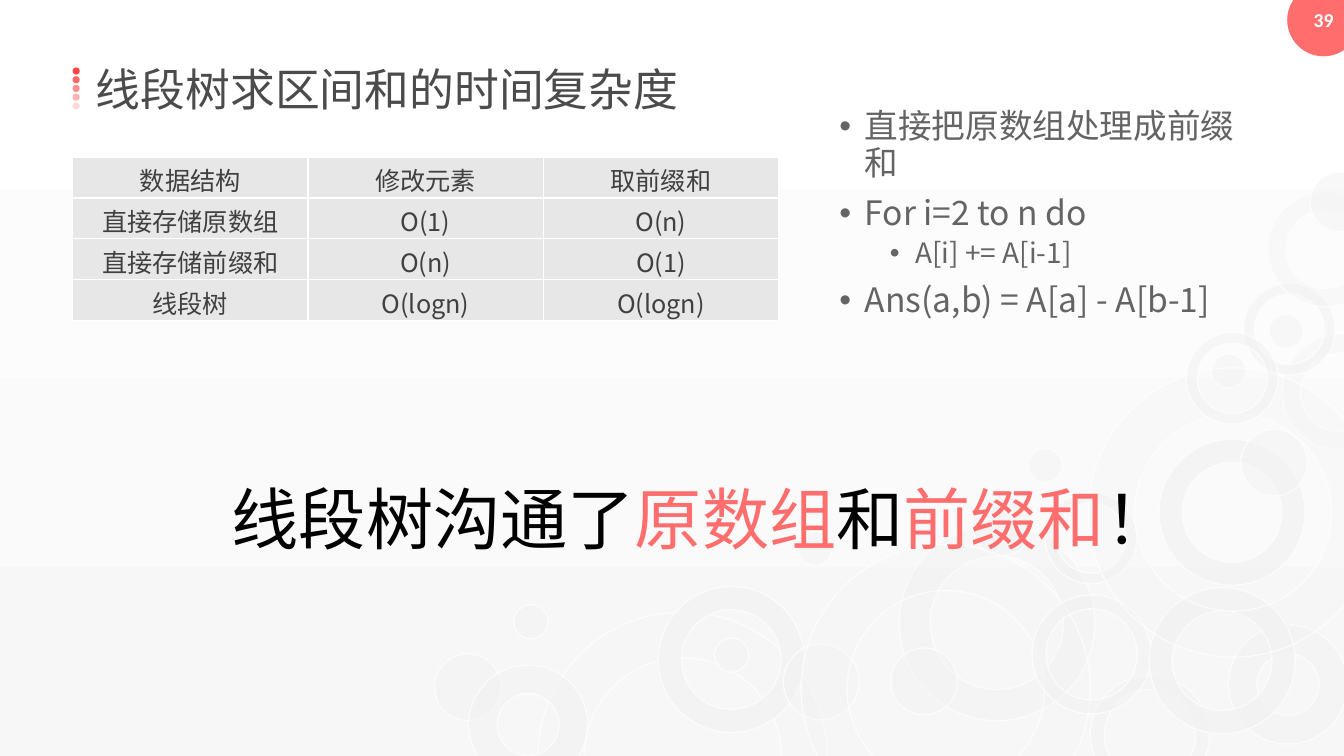
from lxml.etree import SubElement
from pptx import Presentation
from pptx.dml.color import RGBColor
from pptx.enum.shapes import MSO_SHAPE as Shape
from pptx.enum.text import MSO_ANCHOR as Anchor, MSO_AUTO_SIZE as AutoSize, PP_ALIGN as Align
from pptx.oxml.ns import qn
from pptx.util import Cm, Pt

CJK = "Noto Sans CJK SC"
WHITE, BLACK, CORAL, RED = "FFFFFF", "000000", "FF6D6D", "FF4343"
TITLE_GREY, BODY_GREY, CELL_GREY = "4B4B4B", "646464", "404040"
CELL_FILL, BUBBLE_FILL = "E7E7E7", "F2F2F2"

# Bubble kinds: diameter in cm, ring thickness (None for a disc), opacity in percent
BUBBLES = {
    "huge": (7.29, 0.159, 13), "large": (4.93, 0.159, 42), "wide": (3.68, 0.159, 75),
    "faint": (2.9, 0.159, 31), "thick": (3, 0.24, 54), "thin": (3, 0.117, 54),
    "small": (2.31, 0.117, 54), "pale disc": (1.91, None, 39), "disc": (1.68, None, 47),
    "little disc": (1.5, None, 47), "dot": (0.86, None, 47),
}
BUBBLE_PLACES = [
    ("wide", 29.21, 11.07), ("faint", 32.31, 8.43), ("huge", 13.56, 15.42),
    ("thin", 27.48, 17.02), ("small", 31.34, 7.14), ("disc", 31.27, 10.82),
    ("dot", 30.53, 8.92), ("large", 22.66, 13.23), ("wide", 16.59, 14.78),
    ("pale disc", 19.74, 16.23), ("little disc", 24.51, 12.5), ("huge", 20.19, 13.72),
    ("thin", 26.01, 14.99), ("small", 26.34, 12.4), ("thick", 30.96, 15.75),
    ("dot", 20.12, 13.39), ("disc", 10.95, 16.48), ("dot", 18.01, 16.08),
    ("dot", 25.91, 11.3), ("wide", 28.96, 14.81), ("faint", 31.95, 4.83),
    ("little disc", 33.02, 4.34), ("huge", 27.43, 9.27), ("small", 29.9, 8.38),
    ("thick", 11.81, 16.76), ("dot", 31.98, 7.92), ("disc", 22.45, 16.33),
    ("dot", 12.95, 15.24),
]
COMPLEXITY = [
    ("数据结构", "修改元素", "取前缀和"),
    ("直接存储原数组", "O(1)", "O(n)"),
    ("直接存储前缀和", "O(n)", "O(1)"),
    ("线段树", "O(logn)", "O(logn)"),
]
PREFIX_STEPS = [
    (0, "直接把原数组处理成前缀和"), (0, "For i=2 to n do"),
    (1, "A[i] += A[i-1]"), (0, "Ans(a,b) = A[a] - A[b-1]"),
]
CONCLUSION = [("线段树沟通了", BLACK), ("原数组", CORAL), ("和", BLACK),
              ("前缀和", CORAL), ("！", BLACK)]


def color(hex_code):
    return RGBColor.from_string(hex_code)


class SlideBuilder:
    def __init__(self, slide):
        self.slide = slide

    def background(self, top, bottom):
        fill = self.slide.background.fill
        fill.gradient()
        fill.gradient_angle = 270
        for stop, shade, position in zip(fill.gradient_stops, (top, bottom), (0, 1)):
            stop.color.rgb, stop.position = color(shade), position

    def run(self, paragraph, text, size, shade, font=CJK, bold=False):
        run = paragraph.add_run()
        run.text = text
        run.font.size, run.font.bold, run.font.name = Pt(size), bold, font
        run.font.color.rgb = color(shade)
        SubElement(run.font._element, qn("a:ea"), typeface=font)

    def circle(self, left, top, size, fill, opacity=100, ring=None, outline=False):
        kind = Shape.DONUT if ring else Shape.OVAL
        circle = self.slide.shapes.add_shape(kind, Cm(left), Cm(top), Cm(size), Cm(size))
        circle.shadow.inherit = False
        circle.fill.solid()
        circle.fill.fore_color.rgb = color(fill)
        if ring:
            circle.adjustments[0] = ring
        if outline:
            circle.line.color.rgb = color(WHITE)
            circle.line.width = Pt(1)
        else:
            circle.line.fill.background()
        paints = circle.element.spPr.iter(qn("a:srgbClr"))
        for paint, percent in zip(paints, (opacity, 70)):
            SubElement(paint, qn("a:alpha"), val=str(percent * 1000))
        return circle

    def frame(self, shape, left, top, width, height, wrap=True, anchor=Anchor.TOP):
        shape.left, shape.top, shape.width, shape.height = map(Cm, (left, top, width, height))
        self.slide.shapes.element.append(shape.element)  # bring to the front
        text = shape.text_frame
        text.auto_size, text.word_wrap, text.vertical_anchor = AutoSize.NONE, wrap, anchor
        return text

    def title(self, text, *box):
        paragraph = self.frame(self.slide.shapes.title, *box, wrap=False).paragraphs[0]
        paragraph.alignment = Align.LEFT
        self.run(paragraph, text, 32, TITLE_GREY)

    def bullets(self, items, *box):
        body = self.frame(self.slide.placeholders[1], *box)
        for index, (level, text) in enumerate(items):
            paragraph = body.add_paragraph() if index else body.paragraphs[0]
            paragraph.level = level
            paragraph.line_spacing = 0.9
            paragraph.space_before = Pt(5 if level else 10)
            properties = paragraph._p.get_or_add_pPr()
            properties.set("marL", str(Cm(0.64 + 1.27 * level)))
            properties.set("indent", str(-Cm(0.64)))
            SubElement(properties, qn("a:buFont"), typeface="Arial")
            SubElement(properties, qn("a:buChar"), char="•")
            self.run(paragraph, text, 20 if level else 24, BODY_GREY)

    def table(self, rows, left, top, column_width, row_height):
        count = len(rows[0])
        table = self.slide.shapes.add_table(
            len(rows), count, Cm(left), Cm(top),
            Cm(column_width * count), Cm(row_height * len(rows))).table
        table.first_row = table.horz_banding = False
        for row_index, row in enumerate(rows):
            for column_index, text in enumerate(row):
                self.cell(table.cell(row_index, column_index), text)

    def cell(self, cell, text):
        cell.vertical_anchor = Anchor.MIDDLE
        cell.margin_top, cell.margin_bottom = Cm(0.1), 0
        properties = cell._tc.get_or_add_tcPr()
        for side in ("lnL", "lnR", "lnT", "lnB"):
            border = SubElement(properties, qn(f"a:{side}"), w=str(Pt(1)))
            SubElement(SubElement(border, qn("a:solidFill")), qn("a:srgbClr"), val=WHITE)
        cell.fill.solid()
        cell.fill.fore_color.rgb = color(CELL_FILL)
        paragraph = cell.text_frame.paragraphs[0]
        paragraph.alignment = Align.CENTER
        self.run(paragraph, text, 18, CELL_GREY)

    def sentence(self, parts, *box):
        holder = self.slide.shapes.add_textbox(0, 0, 0, 0)
        paragraph = self.frame(holder, *box).paragraphs[0]
        for text, shade in parts:
            self.run(paragraph, text, 48, shade)

    def page_number(self, number, left, top, size):
        text = self.circle(left, top, size, CORAL).text_frame
        text.margin_left = text.margin_right = text.margin_top = text.margin_bottom = 0
        text.vertical_anchor = Anchor.MIDDLE
        text.paragraphs[0].alignment = Align.CENTER
        self.run(text.paragraphs[0], number, 14, WHITE, "Calibri", True)


def main():
    deck = Presentation()
    deck.slide_width, deck.slide_height = Cm(33.87), Cm(19.05)
    builder = SlideBuilder(deck.slides.add_slide(deck.slide_layouts[1]))

    # Backdrop with bubbles
    builder.background(WHITE, "F7F7F7")
    for kind, left, top in BUBBLE_PLACES:
        size, ring, opacity = BUBBLES[kind]
        builder.circle(left, top, size, BUBBLE_FILL, opacity, ring, outline=True)

    # Fading dots beside the title, and the page number
    for step in range(5):
        builder.circle(1.83, 1.7 + 0.22 * step, 0.18, RED, 100 - 20 * step)
    builder.page_number("39", 32.44, -0.41, 1.83)

    # Content
    builder.title("线段树求区间和的时间复杂度", 2.16, 1.42, 15.34, 1.63)
    builder.table(COMPLEXITY, 1.83, 3.96, 5.93, 1.03)
    builder.bullets(PREFIX_STEPS, 20.9, 2.64, 11.15, 6.76)
    builder.sentence(CONCLUSION, 5.59, 11.91, 29.13, 2.31)

    deck.save("out.pptx")


if __name__ == "__main__":
    main()
